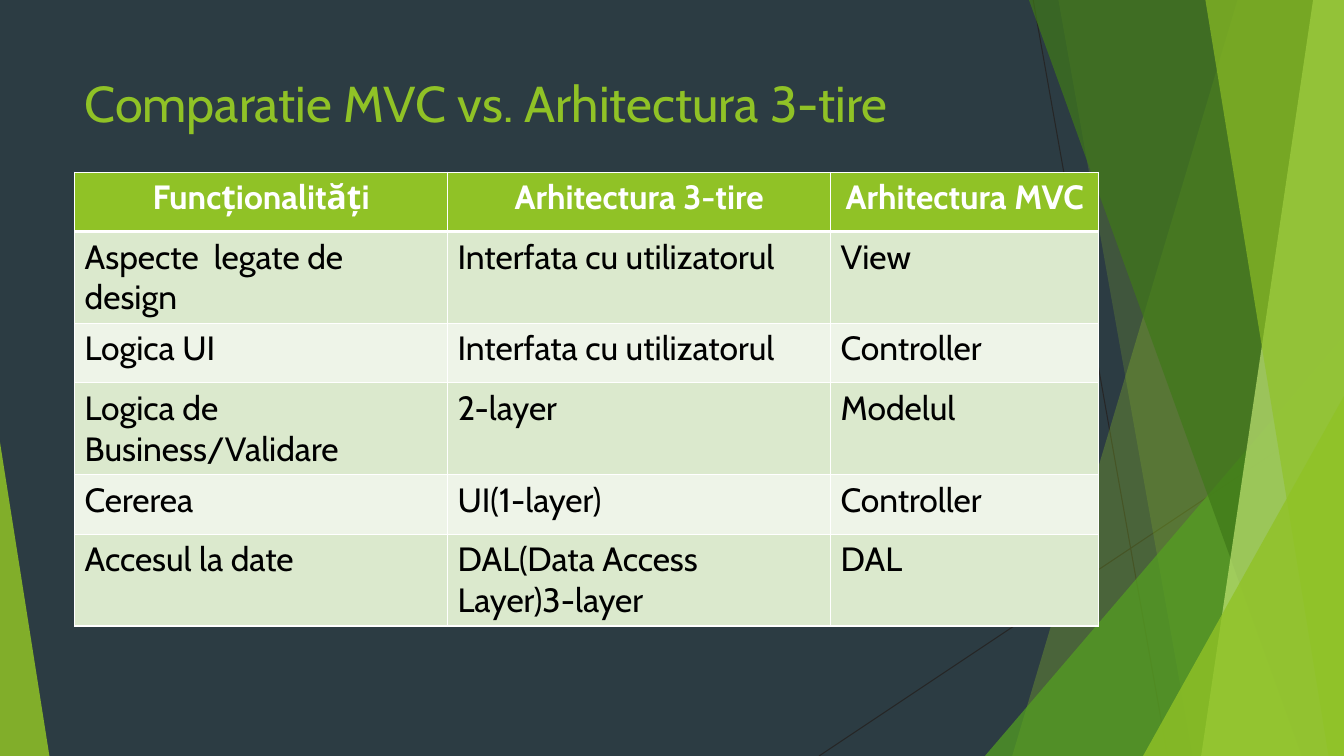
from pptx import Presentation
from pptx.dml.color import RGBColor
from pptx.enum.shapes import MSO_CONNECTOR, MSO_SHAPE
from pptx.enum.text import MSO_ANCHOR, PP_ALIGN
from pptx.oxml.ns import qn
from pptx.util import Pt
from lxml.etree import SubElement

WIDE, HIGH = 960, 540
FONT = "Cabin"
NIGHT = RGBColor(0x2C, 0x3C, 0x43)
LIME = RGBColor(0x90, 0xC2, 0x26)
GREEN = RGBColor(0x54, 0xA0, 0x21)
MOSS = RGBColor(0x3F, 0x78, 0x19)
PALE = RGBColor(0xC0, 0xE4, 0x74)
INK = RGBColor(0x26, 0x26, 0x26)
SAGE = RGBColor(0xDB, 0xE9, 0xCD)
MIST = RGBColor(0xEE, 0xF4, 0xE8)
WHITE = RGBColor(0xFF, 0xFF, 0xFF)
BLACK = RGBColor(0, 0, 0)

COLS = [266.4, 273.6, 191.52]
ROW = 42.48
ROWS = [
    ("Funcționalități", "Arhitectura 3-tire", "Arhitectura MVC"),
    ("Aspecte  legate de design", "Interfata cu utilizatorul", "View"),
    ("Logica UI", "Interfata cu utilizatorul", "Controller"),
    ("Logica de Business/Validare", "2-layer", "Modelul"),
    ("Cererea", "UI(1-layer)", "Controller"),
    ("Accesul la date", "DAL(Data Access Layer)3-layer", "DAL"),
]


def assign(target, values):
    for name, value in values.items():
        setattr(target, name, value)


def style(para, size, color, bold=False):
    assign(para.font, {"name": FONT, "size": Pt(size), "bold": bold})
    para.font.color.rgb = color


def paint(shape, color, alpha):
    shape.shadow.inherit = False
    shape.line.fill.background()
    shape.fill.solid()
    shape.fill.fore_color.rgb = color
    tint = shape.element.spPr.find(".//" + qn("a:srgbClr"))
    SubElement(tint, qn("a:alpha"), val=str(alpha * 1000))


def add_line(slide, *ends):
    line = slide.shapes.add_connector(MSO_CONNECTOR.STRAIGHT, *map(Pt, ends))
    line.line.width = Pt(0.75)
    line.line.color.rgb = INK
    SubElement(line.element.spPr, qn("a:effectLst"))


def add_band(slide, top, foot, color, alpha):
    pen = slide.shapes.build_freeform(top, 0, scale=Pt(1))
    pen.add_line_segments([(WIDE, 0), (WIDE, HIGH), (foot, HIGH)], close=True)
    paint(pen.convert_to_shape(), color, alpha)


def add_wedge(slide, left, top, width, apex, color, alpha):
    box = map(Pt, (left, top, width, HIGH - top))
    wedge = slide.shapes.add_shape(MSO_SHAPE.ISOSCELES_TRIANGLE, *box)
    wedge.adjustments[0] = apex
    paint(wedge, color, alpha)


def add_decor(slide):
    add_line(slide, 738, 0, 834, HIGH)
    add_line(slide, WIDE, 290, 585, HIGH)
    add_band(slide, 884, 723, LIME, 30)
    add_band(slide, 756, 852, LIME, 20)
    add_wedge(slide, 703.5, 240, 256.5, 1, GREEN, 72)
    add_band(slide, 735, 930, MOSS, 70)
    add_band(slide, 938, 858, PALE, 70)
    add_band(slide, 861, 949, LIME, 65)
    add_wedge(slide, 816.5, 283, 143.5, 1, LIME, 80)
    add_wedge(slide, 0, 316, 35.3, 0, LIME, 85)


def set_title(slide, text):
    title = slide.shapes.title
    slide.shapes.element.append(title.element)
    assign(title, {"left": Pt(53.28), "top": Pt(48.24),
                   "width": Pt(676.8), "height": Pt(103.68)})
    frame = title.text_frame
    assign(frame, {"text": text, "word_wrap": True,
                   "vertical_anchor": MSO_ANCHOR.TOP})
    frame.paragraphs[0].alignment = PP_ALIGN.LEFT
    style(frame.paragraphs[0], 36, LIME)


def add_rules(cell, row):
    props = cell._tc.get_or_add_tcPr()
    widths = {"L": 1, "R": 1, "T": 3 if row == 1 else 1, "B": 1 if row else 3}
    for side, width in widths.items():
        rule = SubElement(props, qn("a:ln" + side), w=str(Pt(width)))
        fill = SubElement(rule, qn("a:solidFill"))
        SubElement(fill, qn("a:srgbClr"), val=str(WHITE))


def fill_cell(cell, text, row):
    head = row == 0
    add_rules(cell, row)
    cell.fill.solid()
    cell.fill.fore_color.rgb = LIME if head else SAGE if row % 2 else MIST
    cell.text = text
    para = cell.text_frame.paragraphs[0]
    para.alignment = PP_ALIGN.CENTER if head else PP_ALIGN.LEFT
    style(para, 24, WHITE if head else BLACK, head)


def add_grid(slide):
    box = map(Pt, (53.28, 123, sum(COLS), ROW * len(ROWS)))
    table = slide.shapes.add_table(len(ROWS), len(COLS), *box).table
    for col, width in zip(table.columns, COLS):
        col.width = Pt(width)
    for row, texts in enumerate(ROWS):
        table.rows[row].height = Pt(ROW)
        for col, text in enumerate(texts):
            fill_cell(table.cell(row, col), text, row)


def main():
    deck = Presentation()
    assign(deck, {"slide_width": Pt(WIDE), "slide_height": Pt(HIGH)})
    slide = deck.slides.add_slide(deck.slide_layouts[5])
    slide.background.fill.solid()
    slide.background.fill.fore_color.rgb = NIGHT
    add_decor(slide)
    set_title(slide, "Comparatie MVC vs. Arhitectura 3-tire")
    add_grid(slide)
    deck.save("out.pptx")


if __name__ == "__main__":
    main()
